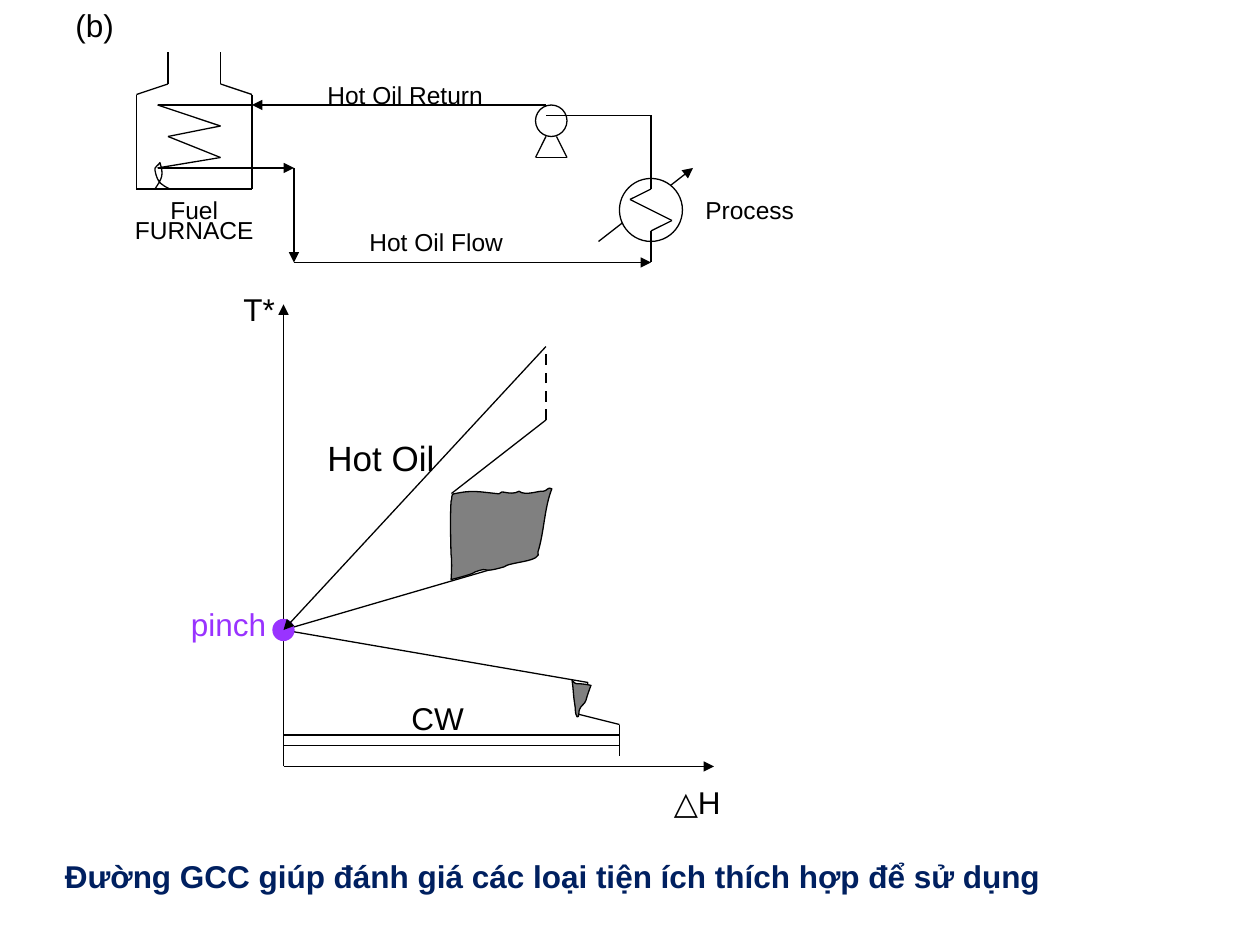
from lxml.etree import SubElement
from pptx import Presentation
from pptx.dml.color import RGBColor
from pptx.enum.dml import MSO_LINE
from pptx.enum.shapes import MSO_CONNECTOR, MSO_SHAPE
from pptx.enum.text import PP_ALIGN
from pptx.oxml.ns import qn
from pptx.util import Inches, Pt

BLACK = RGBColor(0, 0, 0)
WHITE = RGBColor(255, 255, 255)
GRAY = RGBColor(0x80, 0x80, 0x80)
VIOLET = RGBColor(0x99, 0x33, 0xFF)
NAVY = RGBColor(0, 0x20, 0x60)
CELL = Inches(1) // 12  # side of a grid cell

# Chains of grid points, drawn as connected lines
AXES = [[(27, 73), (27, 29)], [(27, 73), (68, 73)]]
PLAIN = [
    [(27, 60), (56, 65), (55, 68), (59, 69), (59, 72)],  # curve below pinch
    [(59, 71), (27, 71)],  # cooling water
    [(59, 70), (27, 70)],
    [(27, 60), (51, 53)],  # curve above pinch
    [(43, 47), (52, 40)],
    [(16, 5), (16, 8), (13, 9), (13, 18), (24, 18), (24, 9), (21, 8), (21, 5)],  # furnace
    [(52, 13), (51, 15), (54, 15), (53, 13)],  # pump base
    [(24, 10), (15, 10), (21, 12), (16, 13), (21, 15), (15, 16), (24, 16)],  # furnace coil
]
FLOWS = [
    [(52, 33), (27, 60)],  # hot oil line
    [(52, 10), (24, 10)],  # return
    [(24, 16), (28, 16), (28, 25), (62, 25)],  # flow
    [(57, 23), (66, 16)],  # process stream
]
DASH = [(52, 40), (52, 33)]
COIL = [(62, 25), (62, 23), (62, 22), (64, 21), (60, 19), (62, 18), (62, 17), (62, 11), (52, 11)]

# Left, top and diameter in cells, fill, line
PUMP = (51, 10, 3, WHITE, BLACK)
PINCH = (26, 59, 2, VIOLET, VIOLET)
HEATER = (59, 17, 6, WHITE, BLACK)

# Bezier outlines in inches: a start, then two handles and an end per curve
POCKET_LOW = [
    (4.54, 5.4), (4.55, 5.46), (4.55, 5.52), (4.56, 5.58), (4.57, 5.62), (4.56, 5.66), (4.58, 5.69),
    (4.6, 5.7), (4.59, 5.64), (4.6, 5.63), (4.61, 5.6), (4.64, 5.59), (4.65, 5.56),
    (4.66, 5.52), (4.69, 5.44), (4.69, 5.44), (4.55, 5.41), (4.59, 5.45), (4.54, 5.4)]
POCKET_HIGH = [
    (4.27, 4.38), (4.32, 4.22), (4.32, 4.03), (4.38, 3.88), (4.35, 3.86), (4.34, 3.9), (4.31, 3.9),
    (4.29, 3.89), (4.17, 3.94), (4.12, 3.9), (4.04, 3.94), (3.98, 3.88), (3.96, 3.92),
    (3.77, 3.9), (3.75, 3.89), (3.6, 3.92), (3.58, 3.92), (3.59, 3.96), (3.58, 3.98),
    (3.57, 4.12), (3.58, 4.4), (3.58, 4.4), (3.59, 4.47), (3.58, 4.6), (3.58, 4.6),
    (3.58, 4.6), (3.75, 4.56), (3.77, 4.54), (3.91, 4.49), (3.79, 4.56), (4, 4.5),
    (4.04, 4.46), (4.31, 4.46), (4.27, 4.38)]
FLAME = [(1.23, 1.5), (1.29, 1.41), (1.3, 1.39), (1.27, 1.29),
         (1.26, 1.31), (1.22, 1.33), (1.23, 1.35), (1.25, 1.46), (1.29, 1.47), (1.35, 1.5)]

# Text, left, top and width in cells, size, colour
LABELS = [
    ("(b)", 6, 0, 8, 18, BLACK),
    ("Hot Oil Return", 30, 7, 18, 14, BLACK),
    ("Hot Oil Flow", 34, 21, 18, 14, BLACK),
    ("Process", 66, 18, 19, 14, BLACK),
    ("Fuel\nFURNACE", 11, 18, 15, 14, BLACK),
    ("T*", 22, 27, 8, 18, BLACK),
    ("Hot Oil", 30, 41, 13, 20, BLACK),
    ("pinch", 17, 57, 14, 18, VIOLET),
    ("CW", 38, 66, 8, 18, BLACK),
    ("△H", 63, 74, 11, 18, BLACK),
    ("Đường GCC giúp đánh giá các loại tiện ích thích hợp để sử dụng", 5, 81, 110, 18, NAVY),
]

prs = Presentation()
prs.slide_width, prs.slide_height = Inches(10), Inches(7.5)
shapes = prs.slides.add_slide(prs.slide_layouts[6]).shapes


def cells(*nums):
    return [n * CELL for n in nums]


def chain(points, arrow=False, dash=False):
    for start, end in zip(points, points[1:]):
        line = shapes.add_connector(MSO_CONNECTOR.STRAIGHT, *cells(*start, *end))
        line.line.color.rgb = BLACK
        line.line.width = Pt(1.5 if dash else 0.75)
        if dash:
            line.line.dash_style = MSO_LINE.DASH
        if arrow:
            SubElement(line.line._get_or_add_ln(), qn("a:tailEnd"), type="triangle")
        SubElement(line._element.spPr, qn("a:effectLst"))


def paint(shape, fill, edge=BLACK):
    shape.shadow.inherit = False
    if fill is None:
        shape.fill.background()
    else:
        shape.fill.solid()
        shape.fill.fore_color.rgb = fill
    shape.line.color.rgb = edge
    shape.line.width = Pt(0.75)


def circle(left, top, size, fill, edge):
    paint(shapes.add_shape(MSO_SHAPE.OVAL, *cells(left, top, size, size)), fill, edge)


def curve(points, fill=None):
    """Build a freeform and join each three of its points into a cubic Bezier."""
    start, *rest = [(round(x * 100), round(y * 100)) for x, y in points]
    form = shapes.build_freeform(*start, scale=Inches(1) / 100)
    form.add_line_segments(rest, close=fill is not None)
    shape = form.convert_to_shape()
    steps = list(shape._element.iter(qn("a:lnTo")))
    for i in range(0, len(steps), 3):
        bend = steps[i]
        bend.tag = qn("a:cubicBezTo")
        for step in steps[i + 1:i + 3]:
            bend.append(step[0])
            step.getparent().remove(step)
    paint(shape, fill)


def label(text, left, top, width, size, color):
    lines = text.split("\n")
    height = 0.1 + size / 60 * len(lines)
    box = shapes.add_textbox(*cells(left, top, width), Inches(height))
    frame = box.text_frame
    frame.word_wrap = True
    frame.text = text
    for i, para in enumerate(frame.paragraphs):
        if len(lines) > 1:
            para.alignment = PP_ALIGN.CENTER
        if i:
            para.line_spacing = 0.1
            para.space_before = Pt(7)
        para.font.name = "Arial"
        para.font.size = Pt(size)
        para.font.bold = color == NAVY
        para.font.color.rgb = color


for points in AXES:
    chain(points, arrow=True)
for points in PLAIN:
    chain(points)
curve(POCKET_LOW, GRAY)
curve(POCKET_HIGH, GRAY)
chain(DASH, dash=True)
circle(*PUMP)
circle(*PINCH)
for points in FLOWS:
    chain(points, arrow=True)
circle(*HEATER)
chain(COIL)
curve(FLAME)
for item in LABELS:
    label(*item)

prs.save("out.pptx")
